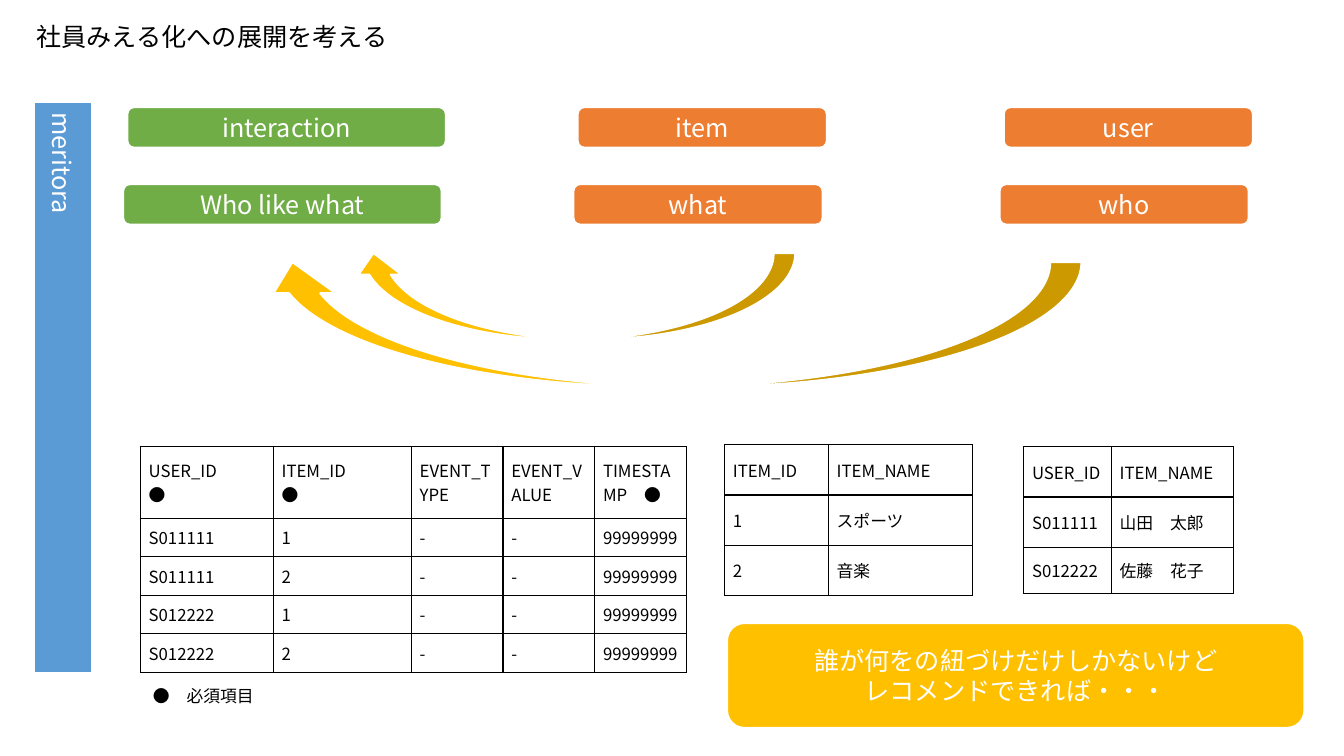
from lxml.etree import SubElement
from pptx import Presentation
from pptx.dml.color import RGBColor
from pptx.enum.shapes import MSO_SHAPE
from pptx.enum.text import MSO_ANCHOR, PP_ALIGN
from pptx.oxml import parse_xml
from pptx.oxml.ns import nsdecls, qn
from pptx.util import Pt

FONT = "Noto Sans CJK JP"
BLACK, WHITE = "000000", "FFFFFF"
GREEN, ORANGE, BLUE, YELLOW = "70AD47", "ED7D31", "5B9BD5", "FFC000"


def rgb(color):
    return RGBColor.from_string(color)


def write(tf, text, size, color, align=PP_ALIGN.LEFT):
    tf.text = text
    for p in tf.paragraphs:
        p.alignment = align
        for r in p.runs:
            r.font.size = Pt(size)
            r.font.name = FONT
            r.font.color.rgb = rgb(color)
            SubElement(r.font._element, qn("a:ea"), typeface=FONT)


def add_block(s, kind, box, color, text=""):
    sp = s.shapes.add_shape(kind, *map(Pt, box))
    sp.shadow.inherit = False
    sp.fill.solid()
    sp.fill.fore_color.rgb = rgb(color)
    sp.line.color.rgb = rgb(WHITE)
    sp.line.width = Pt(1.5)
    if text:
        sp.text_frame.vertical_anchor = MSO_ANCHOR.MIDDLE
        write(sp.text_frame, text, 18, WHITE, PP_ALIGN.CENTER)
    return sp


def add_curved_arrow(s, left, top, width, height):
    box = (left + (width - height) / 2, top + (height - width) / 2, height, width)
    add_block(s, MSO_SHAPE.CURVED_LEFT_ARROW, box, YELLOW).rotation = 90


def add_label(s, box, text, size):
    tf = s.shapes.add_textbox(*map(Pt, box)).text_frame
    tf.word_wrap = True
    write(tf, text, size, BLACK)


def add_borders(cell):
    tcPr = cell._tc.get_or_add_tcPr()
    for i, side in enumerate("LRTB"):
        tcPr.insert(i, parse_xml(
            f'<a:ln{side} {nsdecls("a")} w="{Pt(1)}"><a:solidFill>'
            f'<a:srgbClr val="{BLACK}"/></a:solidFill></a:ln{side}>'))


def add_grid(s, left, top, widths, heights, rows):
    box = (left, top, sum(widths), sum(heights))
    table = s.shapes.add_table(len(rows), len(widths), *map(Pt, box)).table
    table.first_row = table.horz_banding = False
    for column, width in zip(table.columns, widths):
        column.width = Pt(width)
    for row, height, texts in zip(table.rows, heights, rows):
        row.height = Pt(height)
        for cell, text in zip(row.cells, texts):
            cell.margin_left = cell.margin_right = Pt(6)
            cell.margin_top = cell.margin_bottom = Pt(2.4)
            cell.vertical_anchor = MSO_ANCHOR.MIDDLE
            cell.fill.background()
            write(cell.text_frame, text, 12, BLACK)
            add_borders(cell)


def add_title(s, text):
    title = s.shapes.title
    title.left, title.top, title.width, title.height = map(Pt, (18.7, 11.5, 480, 29))
    title.text_frame.vertical_anchor = MSO_ANCHOR.TOP
    write(title.text_frame, text, 18, BLACK)


def main():
    prs = Presentation()
    prs.slide_width, prs.slide_height = Pt(960), Pt(540)
    s = prs.slides.add_slide(prs.slide_layouts[5])
    add_title(s, "社員みえる化への展開を考える")

    side_bar = add_block(s, MSO_SHAPE.RECTANGLE, (24, 73, 41.5, 408), BLUE, "meritora")
    side_bar.text_frame._txBody.bodyPr.set("vert", "eaVert")

    for left, width, color, name, meaning in (
        (91, 227.5, GREEN, "interaction", "Who like what"),
        (412.6, 178, ORANGE, "item", "what"),
        (717, 178, ORANGE, "user", "who"),
    ):
        add_block(s, MSO_SHAPE.ROUNDED_RECTANGLE, (left, 76.5, width, 29), color, name)
        add_block(s, MSO_SHAPE.ROUNDED_RECTANGLE, (left - 3, 131.5, width, 29), color, meaning)

    add_curved_arrow(s, 186.5, 187.2, 586, 89.3)
    add_curved_arrow(s, 251.3, 180.7, 316.8, 61.9)

    likes = [(user, item, "-", "-", "99999999")
             for user in ("S011111", "S012222") for item in "12"]
    add_grid(s, 100.2, 318.9, [95, 98.6, 65.5, 65.5, 65.5], [51.2] + [27.5] * 4,
             [("USER_ID\n●", "ITEM_ID\n●", "EVENT_TYPE", "EVENT_VALUE", "TIMESTAMP　●")] + likes)
    add_grid(s, 517.5, 317.5, [74.2, 103], [36] * 3,
             [("ITEM_ID", "ITEM_NAME"), ("1", "スポーツ"), ("2", "音楽")])
    add_grid(s, 731.2, 319, [62.6, 87.2], [36, 36, 33],
             [("USER_ID", "ITEM_NAME"), ("S011111", "山田　太郎"), ("S012222", "佐藤　花子")])

    add_block(s, MSO_SHAPE.ROUNDED_RECTANGLE, (519.3, 445, 412.5, 75), YELLOW,
              "誰が何をの紐づけだけしかないけど\nレコメンドできれば・・・")
    add_label(s, (102.2, 486, 303, 21.8), "●　必須項目", 12)
    prs.save("out.pptx")


if __name__ == "__main__":
    main()
